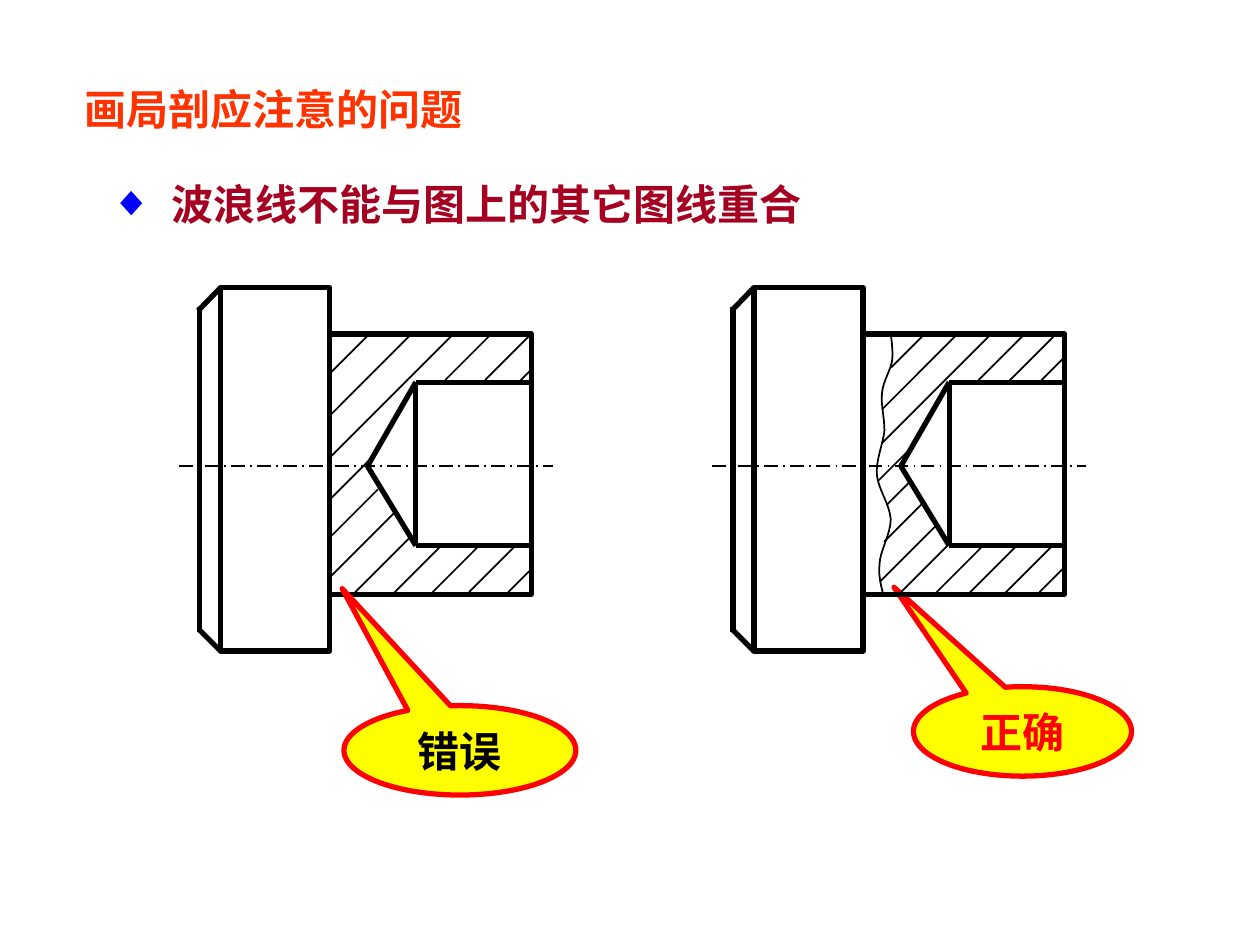
"""Build a slide on where the break line of a partial section may run."""
import pptx
import pptx.util
import pptx.dml.color
import pptx.enum.dml
import pptx.enum.shapes
import pptx.enum.text
from lxml import etree

Pt = pptx.util.Pt
RGB = pptx.dml.color.RGBColor.from_string
Kind = pptx.enum.shapes.MSO_SHAPE
DASH = pptx.enum.dml.MSO_LINE.LONG_DASH_DOT
NS = "http://schemas.openxmlformats.org/drawingml/2006/main"

THEME = {
    "font": "Times New Roman", "size": 24, "thick": 3, "thin": 1,
    "ink": "000000", "title": "FF3300", "mark": "0000FF",
    "rule": "A50021", "fill": "FFFF00", "edge": "FF0000",
}

TITLE = ("画局剖应注意的问题", (41, 44, 322.6, 36), "title")
RULE = ("波浪线不能与图上的其它图线重合", (56.2, 98.6, 495.4, 36), "rule")
MARK, HANG = "◆", 34.8

CALLS = [
    ("错误", (196.6, 403.2, 132.5, 51.1), (-0.508, -1.808), "ink"),
    ("正确", (522, 392.4, 124.6, 51.1), (-0.589, -1.611), "edge"),
]

STEP = 304.8
AXIS = (102.2, 266.4, 316, 266.4)
RECTS = [(126, 164.4, 62.4, 207.6), (188.4, 190.8, 115.2, 148.8)]
EDGES = [
    (126, 164.4, 113.2, 177.6), (126, 372, 114, 360),
    (114, 361.2, 114, 175.2),
    (237.6, 218.4, 304.6, 218.4), (237.6, 311.8, 304.6, 311.8),
    (237.6, 218.4, 237.6, 311.8),
    (237.6, 218.4, 210, 266.4), (210, 266.4, 237.6, 311.8),
]
WAVE = [
    (204.2, 189.4), (204.2, 192.2), (205.7, 200.2), (205, 205.9),
    (204.2, 211.7), (199.9, 217.4), (199.2, 224.6),
    (198.5, 231.1), (200.6, 238.3), (200.6, 246.2),
    (199.9, 253.4), (195.6, 262.8), (196.3, 271.4),
    (197, 279.4), (203.5, 288), (204.2, 296.6),
    (204.2, 305.3), (197.8, 315.4), (197.8, 322.6),
    (197, 329.8), (199.2, 336.2), (199.9, 339.8),
]
WRONG = [
    (188.4, 213.6, 24), (188.4, 237.6, 48), (188.4, 261.6, 72),
    (188.4, 285.6, 22.8), (254.4, 217.2, 27.6), (277.2, 217.2, 25.2),
    (188.4, 307.2, 27.6), (188.4, 330, 37.2), (203, 338.4, 31.2),
    (225.6, 338.4, 27.6), (247.2, 338.4, 27.6), (268, 338.4, 27.6),
    (290.4, 338.4, 12), (297.6, 217.2, 5.2),
]
RIGHT = [
    (204.4, 210, 20.4), (199.2, 234, 44.4), (199.2, 253.2, 62.4),
    (197, 274.8, 18), (254.4, 217.2, 27.6), (271.2, 218.4, 28.8),
    (290.4, 217.2, 13.2), (202, 288.4, 13.2), (200.4, 309.6, 21.6),
    (198, 332.4, 32.4), (208.8, 339.6, 28.8), (229.2, 339.6, 27.6),
    (248.4, 339.6, 28.8), (268.8, 339.6, 28.8), (289.2, 338.4, 14.4),
]


def apply(item, form):
    for name, value in form.items():
        setattr(item, name, value)


def stroke(item, width, color="ink"):
    item.line.color.rgb = RGB(THEME[color])
    item.line.width = Pt(THEME[width])


def write(shape, words, color):
    para = shape.text_frame.paragraphs[0]
    run = para.add_run()
    run.text = words
    apply(run.font, {"name": THEME["font"], "size": Pt(THEME["size"]), "bold": True})
    run.font.color.rgb = RGB(THEME[color])
    return para


def label(slide, words, place, color):
    box = slide.shapes.add_textbox(*map(Pt, place))
    box.text_frame.word_wrap = True
    return write(box, words, color)


def bullet(para):
    props = para._p.get_or_add_pPr()
    props.set("marL", str(Pt(HANG)))
    props.set("indent", str(-Pt(HANG)))
    tint = etree.SubElement(props, f"{{{NS}}}buClr")
    etree.SubElement(tint, f"{{{NS}}}srgbClr", val=THEME["mark"])
    etree.SubElement(props, f"{{{NS}}}buFont", typeface=THEME["font"])
    etree.SubElement(props, f"{{{NS}}}buChar", char=MARK)


def call(slide, words, place, tip, color):
    shape = slide.shapes.add_shape(Kind.OVAL_CALLOUT, *map(Pt, place))
    shape.shadow.inherit = False
    for pos, value in enumerate(tip):
        shape.adjustments[pos] = value
    shape.fill.solid()
    shape.fill.fore_color.rgb = RGB(THEME["fill"])
    stroke(shape, "thick", "edge")
    apply(shape.text_frame, {
        "word_wrap": False,
        "vertical_anchor": pptx.enum.text.MSO_ANCHOR.MIDDLE,
    })
    write(shape, words, color).alignment = pptx.enum.text.PP_ALIGN.CENTER


def line(group, ends, shift, width):
    x1, y1, x2, y2 = ends
    link = group.shapes.add_connector(
        pptx.enum.shapes.MSO_CONNECTOR.STRAIGHT,
        Pt(x1 + shift), Pt(y1), Pt(x2 + shift), Pt(y2))
    stroke(link, width)
    etree.SubElement(link._element.spPr, f"{{{NS}}}effectLst")
    return link


def curve(knots, count=8):
    spots = [knots[0]]
    for pos in range(0, len(knots) - 1, 3):
        quad = knots[pos:pos + 4]
        for step in range(1, count + 1):
            t = step / count
            mix = ((1 - t) ** 3, 3 * t * (1 - t) ** 2, 3 * t * t * (1 - t), t ** 3)
            spots.append(tuple(sum(m * k[axis] for m, k in zip(mix, quad))
                               for axis in (0, 1)))
    return spots


def hollow(shape, width):
    shape.shadow.inherit = False
    shape.fill.background()
    stroke(shape, width)


def part(slide, shift, hatch, wave=()):
    group = slide.shapes.add_group_shape()
    line(group, AXIS, shift, "thin").line.dash_style = DASH
    for x, y, wide, high in RECTS:
        hollow(group.shapes.add_shape(
            Kind.RECTANGLE, *map(Pt, (x + shift, y, wide, high))), "thick")
    for ends in EDGES:
        line(group, ends, shift, "thick")
    if wave:
        spots = [(Pt(x + shift), Pt(y)) for x, y in curve(wave)]
        pen = group.shapes.build_freeform(*spots[0])
        pen.add_line_segments(spots[1:], close=False)
        hollow(pen.convert_to_shape(), "thin")
    for x, y, run in hatch:
        line(group, (x, y, x + run, y - run), shift, "thin")


def main():
    deck = pptx.Presentation()
    apply(deck, {"slide_width": Pt(720), "slide_height": Pt(540)})
    slide = deck.slides.add_slide(deck.slide_layouts[6])
    label(slide, *TITLE)
    bullet(label(slide, *RULE))
    part(slide, 0, WRONG)
    for item in CALLS:
        call(slide, *item)
    part(slide, STEP, RIGHT, WAVE)
    deck.save("out.pptx")


if __name__ == "__main__":
    main()
